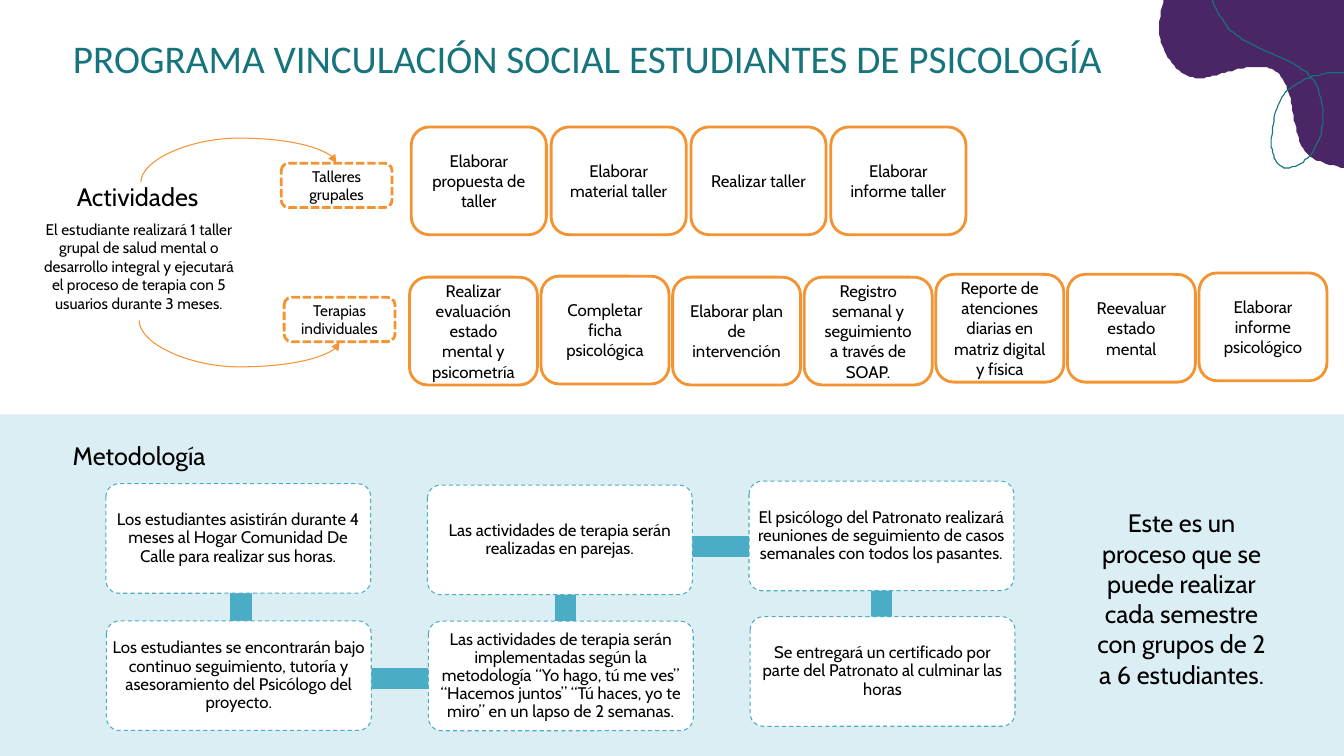
import pptx
import pptx.util
import pptx.dml.color
import pptx.enum.dml
import pptx.enum.shapes
import pptx.enum.text
import lxml.etree

Pt = pptx.util.Pt
SHAPES = pptx.enum.shapes.MSO_SHAPE
DASHES = pptx.enum.dml.MSO_LINE
ALIGN = pptx.enum.text.PP_ALIGN
DRAWING = "{http://schemas.openxmlformats.org/drawingml/2006/main}"

ORANGE = "F49331"
TEAL = "15747C"
BLUE = "4BACC6"
WHITE = "FFFFFF"


def color(value):
    return pptx.dml.color.RGBColor.from_string(value)


def apply(target, values):
    for name, value in values.items():
        setattr(target, name, value)


def smooth(points, steps=6):
    padded = [points[0], *points, points[-1]]
    curve = [points[0]]
    for a, b, c, d in zip(padded, padded[1:], padded[2:], padded[3:]):
        for step in range(1, steps + 1):
            t = step / steps
            curve.append(tuple(
                round(0.5 * (2 * q + (r - p) * t
                             + (2 * p - 5 * q + 4 * r - s) * t ** 2
                             + (3 * q - p - 3 * r + s) * t ** 3), 2)
                for p, q, r, s in zip(a, b, c, d)))
    return curve


class Painter:
    font = "Cabin"
    ink = "000000"

    def __init__(self, page):
        self.page = page

    def paint(self, shape, fill=None, line=None, width=0.75, dash=None):
        shape.shadow.inherit = False
        if fill:
            shape.fill.solid()
            shape.fill.fore_color.rgb = color(fill)
        else:
            shape.fill.background()
        if line:
            shape.line.color.rgb = color(line)
            apply(shape.line, {"width": Pt(width), "dash_style": dash})
        else:
            shape.line.fill.background()

    def block(self, area, kind=SHAPES.RECTANGLE, **look):
        shape = self.page.shapes.add_shape(kind, *map(Pt, area))
        self.paint(shape, **look)
        return shape

    def box(self, area, text, size, font=None, ink=None, align=ALIGN.CENTER,
            radius=None, inset=None, spacing=None, **look):
        box = self.block(area, SHAPES.ROUNDED_RECTANGLE, **look)
        if radius is not None:
            box.adjustments[0] = radius
        frame = box.text_frame
        apply(frame, {"word_wrap": True,
                      "vertical_anchor": pptx.enum.text.MSO_ANCHOR.MIDDLE})
        if inset is not None:
            sides = ("left", "top", "right", "bottom")
            apply(frame, {f"margin_{side}": Pt(inset) for side in sides})
        para = frame.paragraphs[0]
        apply(para, {"alignment": align, "line_spacing": spacing})
        span = para.add_run()
        span.text = text
        apply(span.font, {"name": font or self.font, "size": Pt(size)})
        span.font.color.rgb = color(ink or self.ink)

    def outline(self, points, closed, **look):
        builder = self.page.shapes.build_freeform(*points[0], scale=Pt(1))
        builder.add_line_segments(points[1:], close=closed)
        self.paint(builder.convert_to_shape(), **look)

    def arrow(self, start, end, side, bend, line):
        middle = [(a + b) / 2 for a, b in zip(start, end)]
        across = side * (start[1] - middle[1])
        along = -side * (start[0] - middle[0])
        ends = (middle[0] + across, middle[1] + along,
                middle[0] - across, middle[1] - along)
        arrow = self.page.shapes.add_connector(
            pptx.enum.shapes.MSO_CONNECTOR.CURVE, *map(Pt, ends))
        arrow.line.color.rgb = color(line)
        arrow.line.width = Pt(0.75)
        props = arrow._element.spPr
        turn = 90 if side > 0 else 270
        props.find(DRAWING + "xfrm").set("rot", str(turn * 60000))
        guides = props.find(f"{DRAWING}prstGeom/{DRAWING}avLst")
        lxml.etree.SubElement(guides, DRAWING + "gd", name="adj1",
                              fmla=f"val {round(bend * 100000)}")
        lxml.etree.SubElement(props.find(DRAWING + "ln"),
                              DRAWING + "tailEnd", type="triangle")
        lxml.etree.SubElement(props, DRAWING + "effectLst")


BLOB = [(831, 0), (828, 18), (830, 32), (837, 45), (848, 54), (860, 55.5),
        (873, 52.5), (886, 49), (898.5, 47.5), (910, 50), (917, 58),
        (921.5, 70), (925, 88.5), (929, 103), (935, 111), (945, 116),
        (960, 120)]
LOOP = [(866, 0), (870, 9), (879, 21.5), (891, 30), (903, 35.5), (917, 42),
        (928, 48.5), (936.5, 55), (942.5, 66.5), (945, 81.5), (943.5, 96),
        (938, 108), (931, 115.5), (919, 120), (911, 114.5), (908.3, 102),
        (911, 80.5), (917, 67.5), (926.5, 59.5), (936.5, 55), (948, 52.5),
        (960, 51.5)]
WORKSHOP_STEPS = ["Elaborar propuesta de taller", "Elaborar material taller",
                  "Realizar taller", "Elaborar informe taller"]
THERAPY_STEPS = [
    (198, "Realizar evaluación estado mental y psicometría"),
    (197.3, "Completar ficha psicológica"),
    (198, "Elaborar plan de intervención"),
    (198, "Registro semanal y seguimiento a través de SOAP."),
    (196, "Reporte de atenciones diarias en matriz digital y física"),
    (196, "Reevaluar estado mental"),
    (195, "Elaborar informe psicológico")]
BARS = [(165, 403, 14.4, 101), (93, 477.5, 288, 14.4),
        (397, 396, 14.4, 101), (340, 383, 288, 14.4),
        (622.5, 412, 14.4, 101)]
METHOD_CARDS = [
    (75.6, 345.5, "Los estudiantes asistirán durante 4 meses al Hogar "
     "Comunidad De Calle para realizar sus horas."),
    (76, 443.5, "Los estudiantes se encontrarán bajo continuo seguimiento, "
     "tutoría y asesoramiento del Psicólogo del proyecto."),
    (306, 443.7, "Las actividades de terapia serán implementadas según la "
     "metodología “Yo hago, tú me ves” “Hacemos juntos” “Tú haces, yo te "
     "miro” en un lapso de 2 semanas."),
    (305.3, 346.5, "Las actividades de terapia serán realizadas en parejas."),
    (535, 343.7, "El psicólogo del Patronato realizará reuniones de "
     "seguimiento de casos semanales con todos los pasantes."),
    (535.8, 440.5, "Se entregará un certificado por parte del Patronato al "
     "culminar las horas")]


def main():
    deck = pptx.Presentation()
    apply(deck, {"slide_width": Pt(960), "slide_height": Pt(540)})
    painter = Painter(deck.slides.add_slide(deck.slide_layouts[6]))

    painter.outline(smooth(BLOB) + [(960, 0)], True, fill="4B2667")
    painter.outline(smooth(LOOP), False, line=TEAL, width=0.8)
    painter.block((0, 296, 960, 244), fill="DBEEF4")
    painter.box((0, 22.3, 839, 38.2),
                "PROGRAMA VINCULACIÓN SOCIAL ESTUDIANTES DE PSICOLOGÍA",
                28, font="Calibri", ink=TEAL)
    painter.box((19.4, 315.5, 160, 20), "Metodología", 18)

    step = {"fill": WHITE, "line": ORANGE, "width": 2}
    for index, (top, text) in enumerate(THERAPY_STEPS):
        painter.box((292.5 + 94 * index, top, 91.4, 77), text, 12, **step)
    for index, text in enumerate(WORKSHOP_STEPS):
        painter.box((293.8 + 99.9 * index, 90.7, 96.5, 77), text, 12, **step)

    for left, top, text in [(200.9, 116.6, "Talleres grupales"),
                            (203, 212.4, "Terapias individuales")]:
        painter.box((left, top, 79.2, 31.7), text, 11, line=ORANGE, width=2,
                    dash=DASHES.SQUARE_DOT)
    painter.box((46.8, 130.5, 108, 20), "Actividades", 18, align=ALIGN.LEFT)
    painter.box((18, 151.2, 162.7, 77.8),
                "El estudiante realizará 1 taller grupal de salud mental o "
                "desarrollo integral y ejecutará el proceso de terapia con 5 "
                "usuarios durante 3 meses.", 11)
    painter.arrow((100.6, 130.3), (240.3, 116.6), 1, 2.31, ORANGE)
    painter.arrow((99.4, 228.8), (242.6, 244.2), -1, 2.16, ORANGE)

    for area in BARS:
        painter.block(area, fill=BLUE, line=BLUE)
    for left, top, text in METHOD_CARDS:
        painter.box((left, top, 189.2, 78.3), text, 12, radius=0.12,
                    inset=1.5, spacing=0.9, fill=WHITE, line=BLUE,
                    dash=DASHES.DASH)
    painter.box((764, 344, 160, 167),
                "Este es un proceso que se puede realizar cada semestre con "
                "grupos de 2 a 6 estudiantes.", 18)
    deck.save("out.pptx")


if __name__ == "__main__":
    main()
